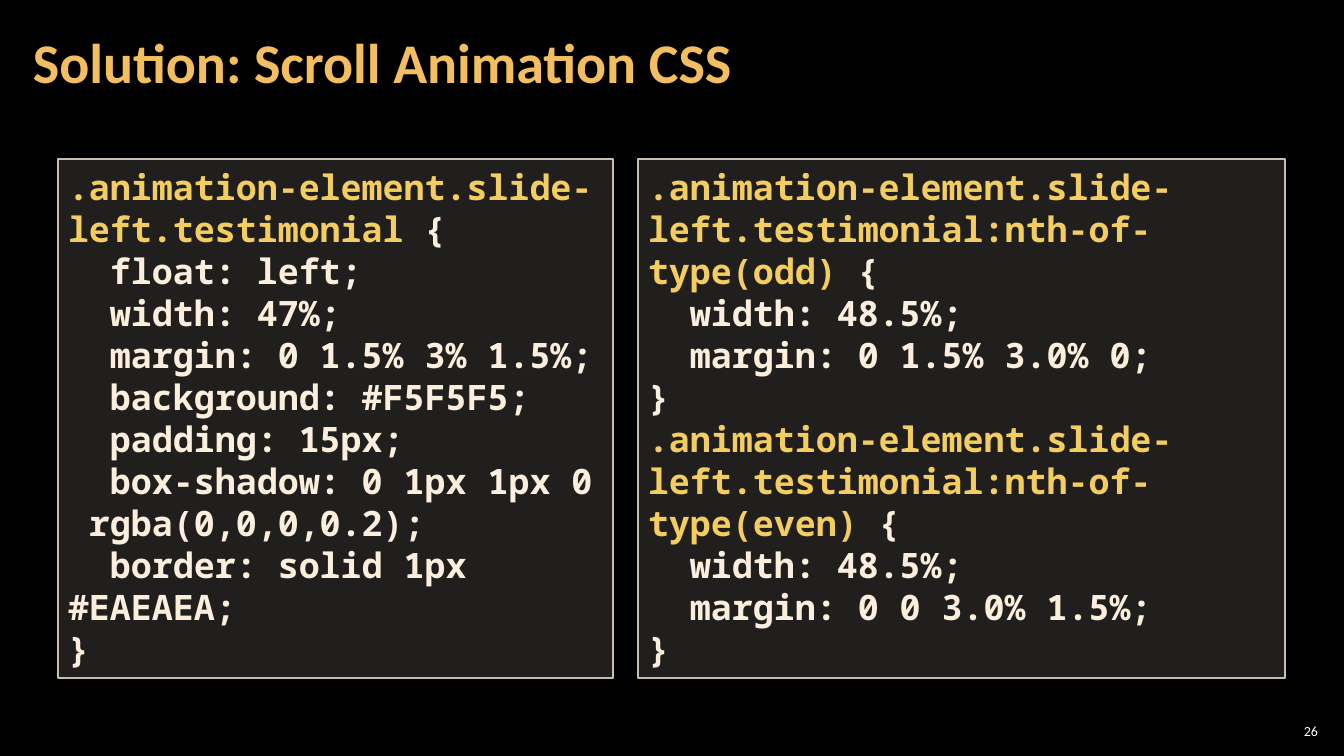
from dataclasses import dataclass
from typing import NamedTuple

from lxml.etree import SubElement
from pptx import Presentation
from pptx.dml.color import RGBColor
from pptx.enum.shapes import MSO_SHAPE
from pptx.enum.text import MSO_ANCHOR, PP_ALIGN
from pptx.oxml.ns import qn
from pptx.util import Emu, Pt

EMU_PER_PX = 914400 / 100.8


@dataclass(frozen=True)
class Theme:
    background: str = "000000"
    title: str = "F3BE60"
    number: str = "FFFFFF"
    selector: str = "F3CD60"
    code: str = "FBEEDC"
    panel: str = "D9D5C7"
    panel_alpha: int = 15
    border: str = "C7BFAC"
    text_font: str = "Calibri"
    code_font: str = "Noto Sans Mono"
    title_size: int = 40
    code_size: int = 25
    code_leading: int = 30
    number_size: int = 10


class Box(NamedTuple):
    left: int
    top: int
    width: int
    height: int


class Rule(NamedTuple):
    selector: str
    declarations: list[str]


class Panel(NamedTuple):
    left: int
    width: int
    rules: list[Rule]


THEME = Theme()
PANEL_TOP, PANEL_HEIGHT = 159, 519
PANELS = [
    Panel(58, 555, [
        Rule(".animation-element.slide-left.testimonial", [
            "float: left;",
            "width: 47%;",
            "margin: 0 1.5% 3% 1.5%;",
            "background: #F5F5F5;",
            "padding: 15px;",
            "box-shadow: 0 1px 1px 0  rgba(0,0,0,0.2);",
            "border: solid 1px #EAEAEA;",
        ]),
    ]),
    Panel(638, 647, [
        Rule(".animation-element.slide-left.testimonial:nth-of-type(odd)", [
            "width: 48.5%;",
            "margin: 0 1.5% 3.0% 0;",
        ]),
        Rule(".animation-element.slide-left.testimonial:nth-of-type(even)", [
            "width: 48.5%;",
            "margin: 0 0 3.0% 1.5%;",
        ]),
    ]),
]


def px(value: int) -> Emu:
    return Emu(round(value * EMU_PER_PX))


def rgb(value: str) -> RGBColor:
    return RGBColor.from_string(value)


def set_frame(tf, side: int, top: int, anchor) -> None:
    tf.word_wrap = True
    tf.vertical_anchor = anchor
    tf.margin_left = tf.margin_right = px(side)
    tf.margin_top = tf.margin_bottom = px(top)


def add_text(p, text: str, *, font: str, size: int, color: str,
             bold: bool = False) -> None:
    r = p.add_run()
    r.text = text
    r.font.name = font
    r.font.size = Pt(size)
    r.font.bold = bold
    r.font.color.rgb = rgb(color)


def add_label(s, box: Box, text: str, *, side: int, align=PP_ALIGN.LEFT,
              spacing: float = 1.0, **text_format) -> None:
    tf = s.shapes.add_textbox(*map(px, box)).text_frame
    set_frame(tf, side, 4, MSO_ANCHOR.MIDDLE)
    p = tf.paragraphs[0]
    p.alignment = align
    p.line_spacing = spacing
    add_text(p, text, **text_format)


def code_lines(rules: list[Rule]) -> list[list[tuple[str, str]]]:
    lines = []
    for rule in rules:
        lines.append([(rule.selector + " ", THEME.selector), ("{", THEME.code)])
        lines += [[("  " + text, THEME.code)] for text in rule.declarations]
        lines.append([("}", THEME.code)])
    return lines


def add_panel(s, panel: Panel) -> None:
    box = Box(panel.left, PANEL_TOP, panel.width, PANEL_HEIGHT)
    sp = s.shapes.add_shape(MSO_SHAPE.RECTANGLE, *map(px, box))
    sp.shadow.inherit = False
    sp.fill.solid()
    sp.fill.fore_color.rgb = rgb(THEME.panel)
    color = sp.fill._xPr.find(qn("a:solidFill"))[0]
    SubElement(color, qn("a:alpha")).set("val", str(THEME.panel_alpha * 1000))
    sp.line.color.rgb = rgb(THEME.border)
    sp.line.width = Pt(1)
    tf = sp.text_frame
    set_frame(tf, 10, 7, MSO_ANCHOR.TOP)
    for i, line in enumerate(code_lines(panel.rules)):
        p = tf.add_paragraph() if i else tf.paragraphs[0]
        p.alignment = PP_ALIGN.LEFT
        p.line_spacing = Pt(THEME.code_leading)
        for text, text_color in line:
            add_text(p, text, font=THEME.code_font, size=THEME.code_size,
                     color=text_color, bold=True)


def main() -> None:
    prs = Presentation()
    prs.slide_width, prs.slide_height = px(1344), px(756)
    s = prs.slides.add_slide(prs.slide_layouts[6])
    s.background.fill.solid()
    s.background.fill.fore_color.rgb = rgb(THEME.background)
    add_label(s, Box(1275, 720, 47, 21), "26", side=4, align=PP_ALIGN.RIGHT,
              font=THEME.text_font, size=THEME.number_size, color=THEME.number)
    add_label(s, Box(21, 4, 1055, 122), "Solution: Scroll Animation CSS",
              side=12, spacing=0.9, font=THEME.text_font,
              size=THEME.title_size, color=THEME.title, bold=True)
    for panel in PANELS:
        add_panel(s, panel)
    prs.save("out.pptx")


if __name__ == "__main__":
    main()
